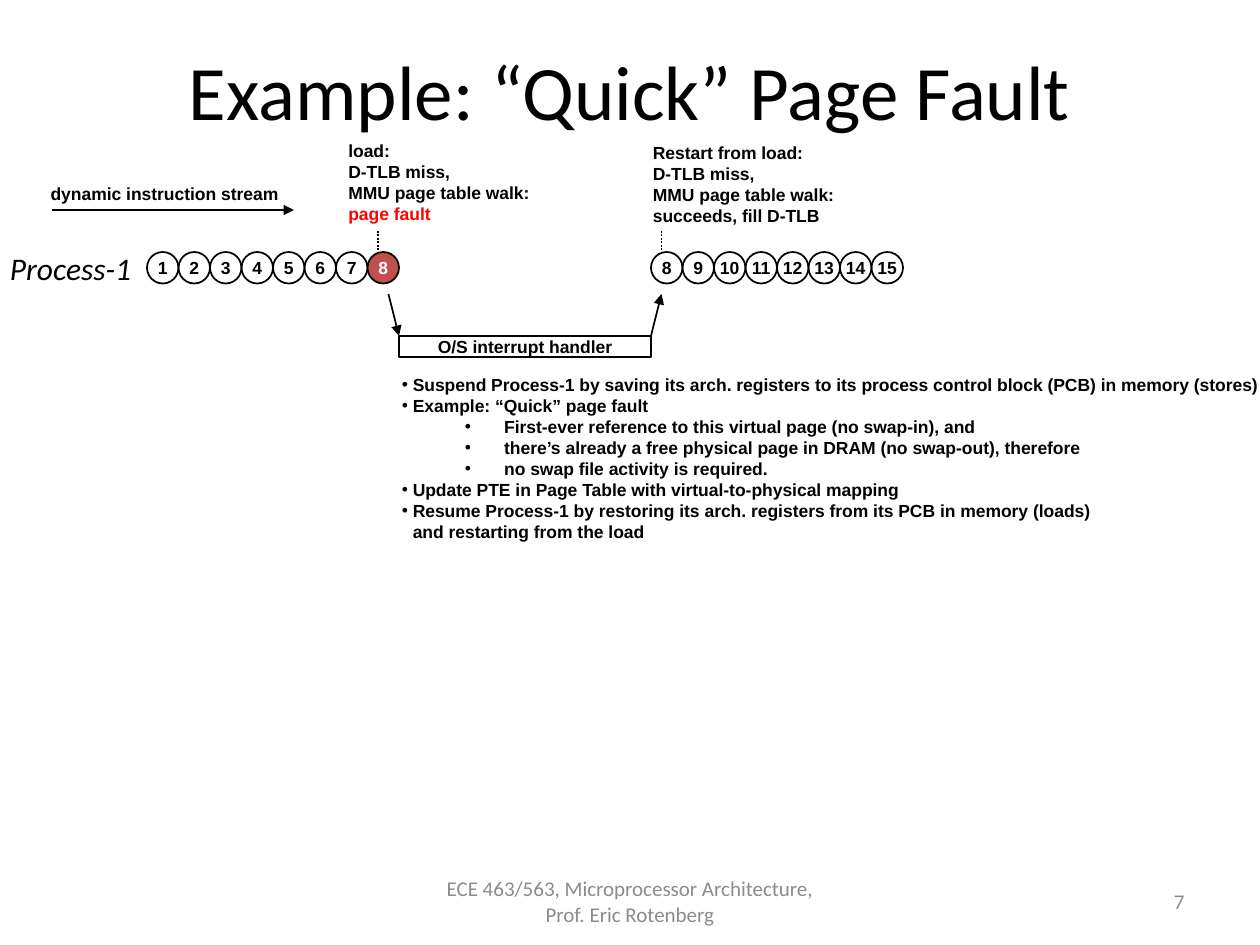
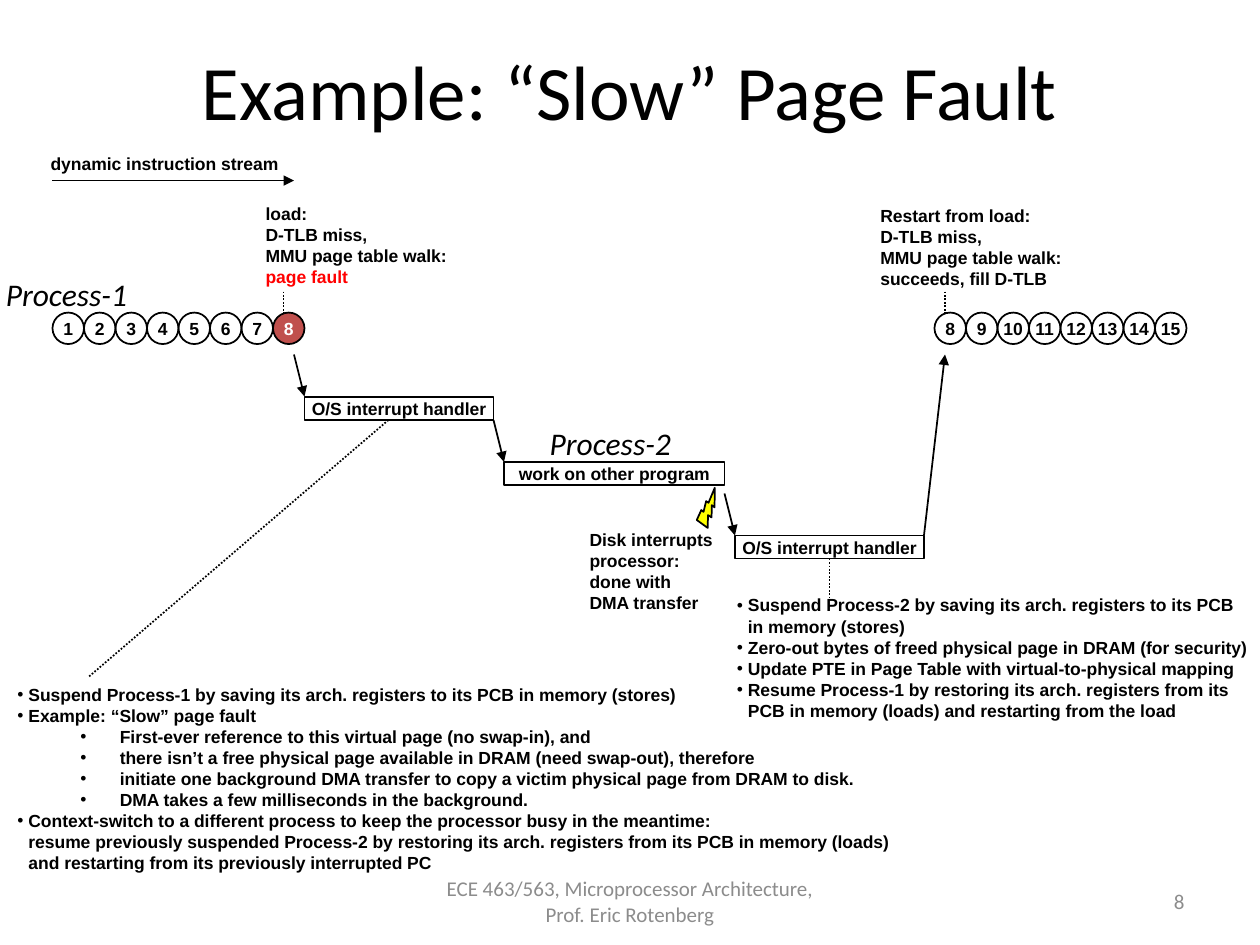
from dataclasses import dataclass

from lxml.etree import SubElement
from pptx import Presentation
from pptx.dml.color import RGBColor
from pptx.enum.dml import MSO_LINE
from pptx.enum.shapes import MSO_CONNECTOR, MSO_SHAPE
from pptx.enum.text import MSO_ANCHOR, MSO_AUTO_SIZE, PP_ALIGN
from pptx.oxml.ns import qn
from pptx.util import Pt


@dataclass(frozen=True)
class Style:
    font: str
    size: int
    color: str = "000000"
    bold: bool = False
    italic: bool = False


@dataclass(frozen=True)
class Theme:
    black: str = "000000"
    white: str = "FFFFFF"
    alert: str = "FF0000"
    fault: str = "C0504D"
    bolt: str = "FFFF00"
    title: Style = Style("Calibri", 44)
    footer: Style = Style("Calibri", 12, "8C8C8C")
    process: Style = Style("Calibri", 18, italic=True)
    label: Style = Style("Arial", 10, bold=True)
    line_width: float = 1


T = Theme()
DOT = 18  # diameter of an instruction circle
HOP_X, HOP_Y = 6, 24  # offset of a control-transfer arrow
FOOTER = "ECE 463/563, Microprocessor Architecture, Prof. Eric Rotenberg"
LOAD = ["load:", "D-TLB miss,\nMMU page table walk:"]
RESTART = ["Restart from load:\nD-TLB miss,\nMMU page table walk:\nsucceeds, fill D-TLB"]


def add_run(p, text, style, color=None):
    r = p.add_run()
    r.text = text
    f = r.font
    f.name, f.size, f.bold, f.italic = style.font, Pt(style.size), style.bold, style.italic
    f.color.rgb = RGBColor.from_string(color or style.color)


def add_lines(p, text, style, color=None):
    """Add one run per line, with line breaks between them."""
    for i, line in enumerate(text.split("\n")):
        if i:
            p.add_line_break()
        add_run(p, line, style, color)


def next_paragraph(tf, index):
    return tf.paragraphs[0] if index == 0 else tf.add_paragraph()


def text_box(s, box, paragraphs, style, align=PP_ALIGN.LEFT, wrap=False):
    """A wrapping box is centred vertically; any other grows with its text."""
    tf = s.shapes.add_textbox(*map(Pt, box)).text_frame
    tf.word_wrap = wrap
    if wrap:
        tf.vertical_anchor = MSO_ANCHOR.MIDDLE
    else:
        tf.auto_size = MSO_AUTO_SIZE.SHAPE_TO_FIT_TEXT
    for i, text in enumerate(paragraphs):
        p = next_paragraph(tf, i)
        p.alignment = align
        add_lines(p, text, style)
    return tf


def set_bullet(p, margin, hanging):
    pPr = p._p.get_or_add_pPr()
    pPr.set("marL", str(Pt(margin)))
    pPr.set("indent", str(-Pt(hanging)))
    SubElement(pPr, qn("a:buFont")).set("typeface", T.label.font)
    SubElement(pPr, qn("a:buChar")).set("char", "•")


def bullet_list(s, box, items):
    """Items are strings; a nested list holds second-level items."""
    tf = text_box(s, box, [], T.label)
    flat = []
    for item in items:
        nested = isinstance(item, list)
        flat += [(text, nested) for text in (item if nested else [item])]
    for i, (text, nested) in enumerate(flat):
        p = next_paragraph(tf, i)
        if nested:
            p.level = 1
            set_bullet(p, 58.5, 22.5)
        else:
            set_bullet(p, 6.3, 6.3)
        add_lines(p, text, T.label)


def shape(s, kind, box, fill=None, text="", color=None):
    sp = s.shapes.add_shape(kind, *map(Pt, box))
    sp.shadow.inherit = False
    if fill:
        sp.fill.solid()
        sp.fill.fore_color.rgb = RGBColor.from_string(fill)
    else:
        sp.fill.background()
    sp.line.color.rgb = RGBColor.from_string(T.black)
    sp.line.width = Pt(T.line_width)
    if text:
        tf = sp.text_frame
        tf.word_wrap = False
        tf.vertical_anchor = MSO_ANCHOR.MIDDLE
        p = tf.paragraphs[0]
        p.alignment = PP_ALIGN.CENTER
        add_run(p, text, T.label, color)
    return sp


def activity(s, left, top, width, height, text):
    return shape(s, MSO_SHAPE.RECTANGLE, (left, top, width, height), T.white, text)


def line(s, start, end):
    c = s.shapes.add_connector(MSO_CONNECTOR.STRAIGHT, *map(Pt, (*start, *end)))
    c.line.color.rgb = RGBColor.from_string(T.black)
    c.line.width = Pt(T.line_width)
    SubElement(c._element.spPr, qn("a:effectLst"))
    return c


def arrow(s, start, end):
    c = line(s, start, end)
    SubElement(c.line._get_or_add_ln(), qn("a:tailEnd")).set("type", "triangle")


def hop(s, x, y):
    """Arrow that hands control to the activity whose corner is (x, y)."""
    arrow(s, (x - HOP_X, y - HOP_Y), (x, y))


def dotted(s, start, end):
    c = line(s, start, end)
    c.line.dash_style = MSO_LINE.ROUND_DOT
    return c


def instructions(s, left, top, numbers, faulting=None):
    for i, n in enumerate(numbers):
        colors = (T.fault, T.white) if n == faulting else (None, T.black)
        shape(s, MSO_SHAPE.OVAL, (left + i * DOT, top, DOT, DOT),
              colors[0], str(n), colors[1])


def process_label(s, left, top, text):
    text_box(s, (left, top, 85, 28.8), [text], T.process)


def stream_label(s, y):
    arrow(s, (30, y), (168, y))
    text_box(s, (21.6, y - 19.2, 144.7, 19.4), ["dynamic instruction stream"],
             T.label, PP_ALIGN.CENTER)


def faulting_process(s, left, restart, top, load_at, restart_at, resume_from):
    """Instructions before the fault and after the restart, with callouts."""
    instructions(s, left, top, range(1, 9), faulting=8)
    instructions(s, restart, top, range(8, 16))
    tf = text_box(s, (*load_at, 119, 55.4), LOAD, T.label)
    p = tf.paragraphs[-1]
    p.add_line_break()
    add_run(p, "page fault", T.label, T.alert)
    text_box(s, (*restart_at, 119, 55.4), RESTART, T.label)
    for x in (left + 7 * DOT + HOP_X, restart + HOP_X):
        dotted(s, (x, top - 12), (x, top))
    hop(s, left + 8 * DOT, top + 48)
    arrow(s, resume_from, (restart + HOP_X, top + 24))


def new_slide(prs, title, number):
    s = prs.slides.add_slide(prs.slide_layouts[6])
    text_box(s, (36, 6, 648, 90), [title], T.title, PP_ALIGN.CENTER, True)
    text_box(s, (246, 500.5, 228, 28.8), [FOOTER], T.footer, PP_ALIGN.CENTER, True)
    text_box(s, (516, 500.5, 168, 28.8), [str(number)], T.footer, PP_ALIGN.RIGHT, True)
    return s


def quick_fault(prs):
    s = new_slide(prs, "Example: “Quick” Page Fault", 7)
    stream_label(s, 120)
    process_label(s, -1.4, 139, "Process-1")
    faulting_process(s, 84, 372, 144, (192, 76.3), (366, 77.8), (372, 192))
    activity(s, 228, 192, 144, 12, "O/S interrupt handler")
    bullet_list(s, (222.5, 210, 508, 104), [
        "Suspend Process-1 by saving its arch. registers to its process control block (PCB) in memory (stores)",
        "Example: “Quick” page fault",
        ["First-ever reference to this virtual page (no swap-in), and",
         "there’s already a free physical page in DRAM (no swap-out), therefore",
         "no swap file activity is required."],
        "Update PTE in Page Table with virtual-to-physical mapping",
        "Resume Process-1 by restoring its arch. registers from its PCB in memory (loads)\n"
        "and restarting from the load",
    ])


def slow_fault(prs):
    s = new_slide(prs, "Example: “Slow” Page Fault", 8)
    stream_label(s, 103.2)
    process_label(s, -3.8, 153.6, "Process-1")
    process_label(s, 307, 239, "Process-2")
    faulting_process(s, 30, 534, 178.6, (144.7, 112.3), (496, 113.5), (528, 306))

    activity(s, 174, 226.8, 108, 13.2, "O/S interrupt handler")
    dotted(s, (222, 240), (50.4, 387))
    bullet_list(s, (2.9, 387.4, 513, 117), [
        "Suspend Process-1 by saving its arch. registers to its PCB in memory (stores)",
        "Example: “Slow” page fault",
        ["First-ever reference to this virtual page (no swap-in), and",
         "there isn’t a free physical page available in DRAM (need swap-out), therefore",
         "initiate one background DMA transfer to copy a victim physical page from DRAM to disk.",
         "DMA takes a few milliseconds in the background."],
        "Context-switch to a different process to keep the processor busy in the meantime:\n"
        "resume previously suspended Process-2 by restoring its arch. registers from its PCB in memory (loads)\n"
        "and restarting from its previously interrupted PC",
    ])

    hop(s, 288, 264)
    activity(s, 288, 264, 126, 13.2, "work on other program")
    bolt = shape(s, MSO_SHAPE.LIGHTNING_BOLT, (396, 282, 18, 18), T.bolt)
    bolt.rotation = 240.5
    text_box(s, (329.8, 298.8, 85, 55.4),
             ["Disk interrupts\nprocessor:", "done with\nDMA transfer"], T.label)

    hop(s, 420, 306)
    handler = activity(s, 420, 306, 108, 13.2, "O/S interrupt handler")
    dotted(s, (474, 319.2), (474, 342)).begin_connect(handler, 2)
    bullet_list(s, (414, 336.2, 309, 80), [
        "Suspend Process-2 by saving its arch. registers to its PCB\nin memory (stores)",
        "Zero-out bytes of freed physical page in DRAM (for security)",
        "Update PTE in Page Table with virtual-to-physical mapping",
        "Resume Process-1 by restoring its arch. registers from its\n"
        "PCB in memory (loads) and restarting from the load",
    ])


def main():
    prs = Presentation()
    prs.slide_width, prs.slide_height = Pt(720), Pt(540)
    quick_fault(prs)
    slow_fault(prs)
    prs.save("out.pptx")


if __name__ == "__main__":
    main()
